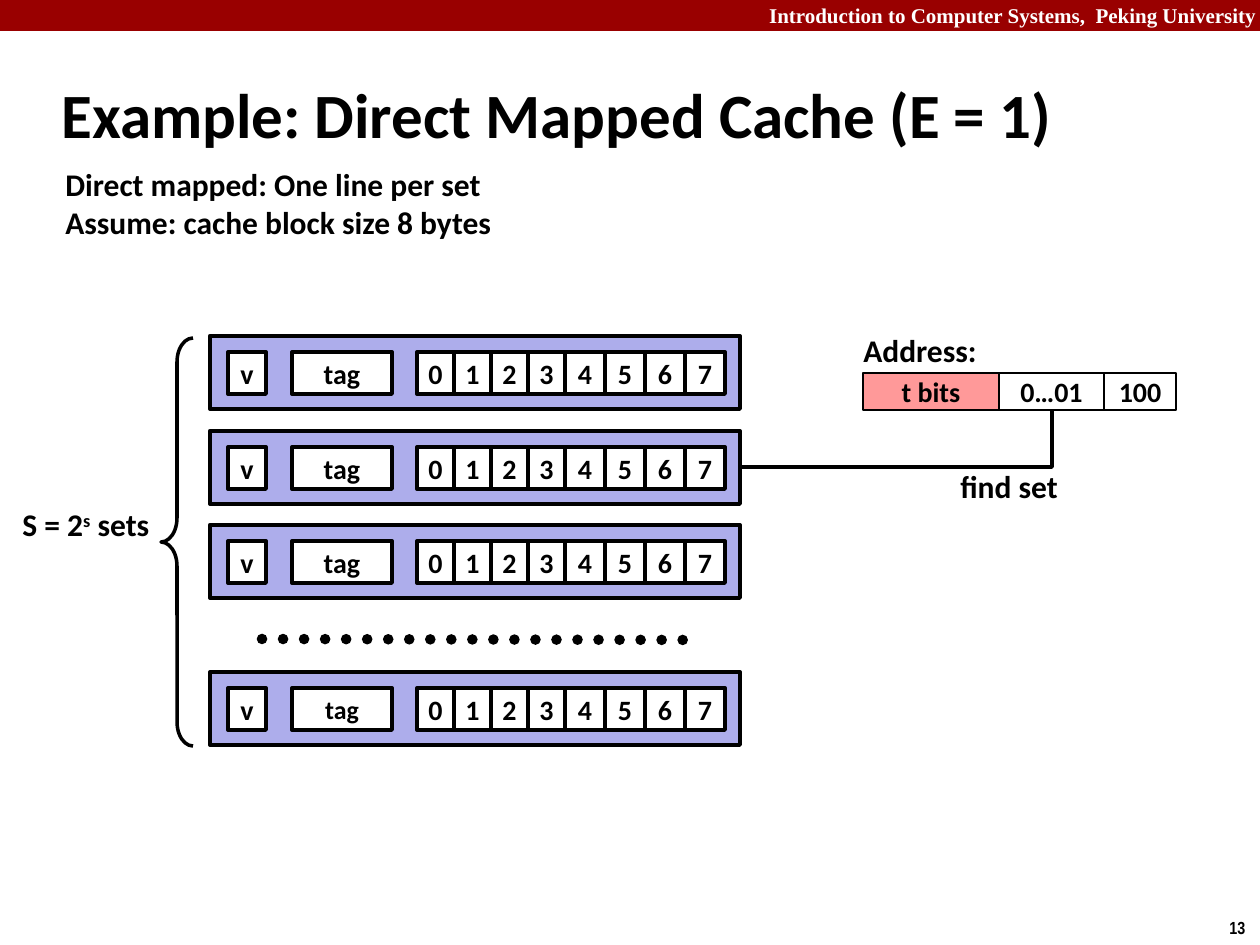
from itertools import accumulate

from lxml import etree
from pptx import Presentation
from pptx.dml.color import RGBColor
from pptx.enum.dml import MSO_LINE
from pptx.enum.shapes import MSO_CONNECTOR as CONN, MSO_SHAPE as SHAPE
from pptx.enum.text import MSO_ANCHOR as ANCHOR, PP_ALIGN as ALIGN
from pptx.oxml.ns import qn
from pptx.util import Pt

# Content
TITLE = "Example: Direct Mapped Cache (E = 1)"
HEADER = "Introduction to Computer Systems,  Peking University"
NOTES = ["Direct mapped: One line per set", "Assume: cache block size 8 bytes"]
SETS_LABEL = [("S = 2", 0), ("s", 30000), (" sets", 0)]  # text, baseline
ADDRESS = [("t bits", 136, "FF9999"), ("0…01", 105, "FFFFFF"), ("100", 72, "FFFFFF")]

# Layout in px
ROW_TOPS = [336, 431, 525, 672]
ROW_LEFT, ROW_W, ROW_H = 210, 530, 73
CELL_INSET, CELL_H = 16, 42
BYTE_LEFT, BYTE_WIDTHS = 417, [37] * 4 + [40] * 4
ADDR_LEFT, ADDR_TOP, ADDR_H = 863, 373, 37

BLACK, WHITE, RED, LILAC = "000000", "FFFFFF", "990000", "ADADEB"


def px(n):
    return round(n * 914400 / 126)


def rgb(color):
    return RGBColor.from_string(color)


def set_font(font, size, color=BLACK, name="Calibri"):
    font.name, font.size, font.bold = name, Pt(size), True
    font.color.rgb = rgb(color)


def add_text(x, y, w, h, lines, size=18, color=BLACK, name="Calibri",
             align=ALIGN.LEFT, anchor=ANCHOR.TOP, wrap=False):
    tf = slide.shapes.add_textbox(px(x), px(y), px(w), px(h)).text_frame
    tf.word_wrap, tf.vertical_anchor = wrap, anchor
    tf.text = "\n".join(lines)
    for p in tf.paragraphs:
        p.alignment = align
        set_font(p.font, size, color, name)
    return tf


def add_box(x, y, w, h, fill, line=2.25, text="", size=16, shape=SHAPE.RECTANGLE):
    sp = slide.shapes.add_shape(shape, px(x), px(y), px(w), px(h))
    sp.shadow.inherit = False
    if fill:
        sp.fill.solid()
        sp.fill.fore_color.rgb = rgb(fill)
    else:
        sp.fill.background()
    if line:
        sp.line.color.rgb = rgb(BLACK)
        sp.line.width = Pt(line)
    else:
        sp.line.fill.background()
    if text:
        tf = sp.text_frame
        tf.word_wrap, tf.vertical_anchor = False, ANCHOR.MIDDLE
        tf.text = text
        p = tf.paragraphs[0]
        p.alignment = ALIGN.CENTER
        set_font(p.font, size)
    return sp


def add_line(kind, x1, y1, x2, y2, width):
    c = slide.shapes.add_connector(kind, px(x1), px(y1), px(x2), px(y2))
    c.line.color.rgb = rgb(BLACK)
    c.line.width = Pt(width)
    etree.SubElement(c._element.spPr, qn("a:effectLst"))
    return c


prs = Presentation()
prs.slide_width, prs.slide_height = px(1260), px(945)
slide = prs.slides.add_slide(prs.slide_layouts[6])

# Header band, slide number, title and notes
add_box(0, 0, 1260, 31, RED, line=None)
add_text(756, -4, 513, 38, [HEADER], 12, WHITE, "Times New Roman", ALIGN.RIGHT, wrap=True)
add_text(1217, 911, 43, 34, ["13"], 10, name="Arial Narrow")
add_text(49, 61, 1046, 104, [TITLE], 36, anchor=ANCHOR.MIDDLE, wrap=True)
add_text(53, 159, 455, 89, NOTES)

# Brace and its label
brace = add_box(161, 338, 32, 408, None, line=2, shape=SHAPE.LEFT_BRACE)
brace.adjustments[0], brace.adjustments[1] = 0.75, 0.5
p = add_text(10, 499, 155, 50, [""]).paragraphs[0]
for text, baseline in SETS_LABEL:
    r = p.add_run()
    r.text = text
    if baseline:
        r.font._element.set("baseline", str(baseline))

# Cache sets
byte_lefts = accumulate(BYTE_WIDTHS[:-1], initial=BYTE_LEFT)
cells = [("v", 228, 38), ("tag", 292, 100)]
cells += [(str(i), x, w) for i, (x, w) in enumerate(zip(byte_lefts, BYTE_WIDTHS))]
for top in ROW_TOPS:
    add_box(ROW_LEFT, top, ROW_W, ROW_H, LILAC)
    for text, x, w in cells:
        small = text == "tag" and top == ROW_TOPS[-1]
        add_box(x, top + CELL_INSET, w, CELL_H, WHITE, text=text, size=14.8 if small else 16)

# Dots standing for the sets left out
dots = add_line(CONN.STRAIGHT, 262, 639, 693, 640, 6)
dots.line.dash_style = MSO_LINE.ROUND_DOT
dots.line._ln.set("cap", "rnd")

# Address fields
add_text(851, 325, 140, 50, ["Address:"])
x = ADDR_LEFT
for text, w, fill in ADDRESS:
    add_box(x, ADDR_TOP, w, ADDR_H, fill, line=1, text=text)
    x += w

# Set index to its set: one bend, a quarter turn about the centre
start_x, start_y = 1052, ADDR_TOP + ADDR_H
end_x, end_y = ROW_LEFT + ROW_W, ROW_TOPS[1] + ROW_H // 2
mid_x, mid_y = (start_x + end_x) / 2, (start_y + end_y) / 2
half_w, half_h = (end_y - start_y) / 2, (start_x - end_x) / 2
elbow = add_line(CONN.ELBOW, mid_x - half_w, mid_y - half_h, mid_x + half_w, mid_y + half_h, 2)
elbow._element.spPr.find(qn("a:prstGeom")).set("prst", "bentConnector2")
elbow._element.spPr.find(qn("a:xfrm")).set("rot", str(90 * 60000))
add_text(948, 461, 123, 50, ["find set"])

prs.save("out.pptx")
